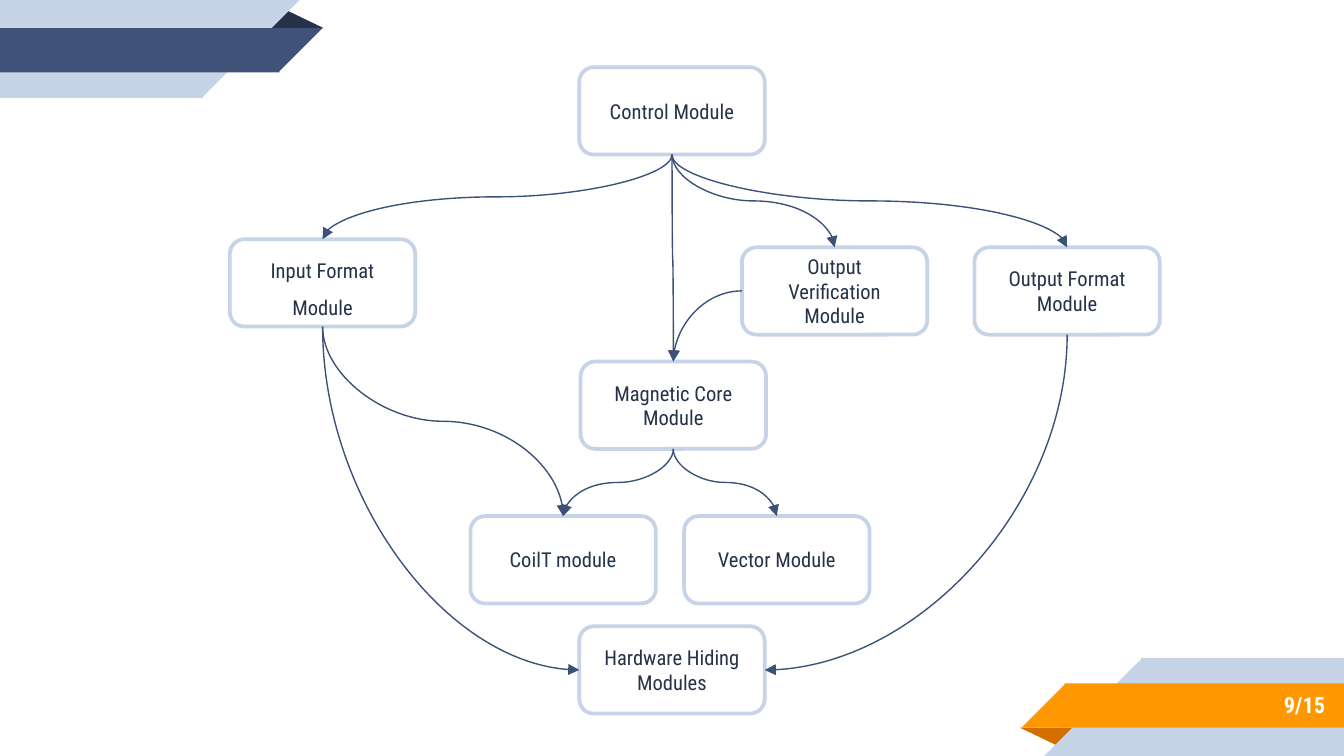
from lxml.etree import SubElement
from pptx import Presentation
from pptx.dml.color import RGBColor
from pptx.enum.shapes import MSO_CONNECTOR, MSO_SHAPE as Preset
from pptx.enum.text import MSO_ANCHOR as Anchor, PP_ALIGN as Align
from pptx.oxml.ns import qn
from pptx.util import Inches, Pt

WHITE = RGBColor(0xFF, 0xFF, 0xFF)
NAVY = RGBColor(0x26, 0x32, 0x48)
BLUE = RGBColor(0x3F, 0x53, 0x78)
ARROW_BLUE = RGBColor(0x3C, 0x51, 0x77)
PALE_BLUE = RGBColor(0xC7, 0xD3, 0xE6)
ORANGE = RGBColor(0xFF, 0x98, 0x00)
DARK_ORANGE = RGBColor(0xD2, 0x6F, 0x00)

FONT = "Roboto Condensed"
SLIDE_WIDTH = 10
SLIDE_HEIGHT = SLIDE_WIDTH * 9 / 16
BOX_WIDTH, BOX_HEIGHT = 1.38, 0.65
TOP, LEFT, BOTTOM, RIGHT = range(4)  # connection sites of a box

MODULES = {  # name: (left, top, line spacing)
    "Vector Module": (5.09, 3.84, 1),
    "Magnetic Core Module": (4.32, 2.69, 1),
    "Output Verification Module": (5.52, 1.84, 1),
    "Output Format Module": (7.25, 1.84, 1),
    "Input Format Module": (1.71, 1.78, 1.5),
    "Hardware Hiding Modules": (4.31, 4.66, 1),
    "Control Module": (4.31, 0.5, 1),
    "CoilT module": (3.5, 3.84, 1),
}

ARROWS = [
    ("Control Module", BOTTOM, "Magnetic Core Module", TOP),
    ("Control Module", BOTTOM, "Output Format Module", TOP),
    ("Output Format Module", BOTTOM, "Hardware Hiding Modules", RIGHT),
    ("Control Module", BOTTOM, "Output Verification Module", TOP),
    ("Input Format Module", BOTTOM, "Hardware Hiding Modules", LEFT),
    ("Control Module", BOTTOM, "Input Format Module", TOP),
    ("Output Verification Module", LEFT, "Magnetic Core Module", TOP),
    ("Magnetic Core Module", BOTTOM, "CoilT module", TOP),
    ("Input Format Module", BOTTOM, "CoilT module", TOP),
    ("Magnetic Core Module", BOTTOM, "Vector Module", TOP),
]


def add_filled_shape(slide, preset, left, top, width, height, color):
    shape = slide.shapes.add_shape(
        preset, Inches(left), Inches(top), Inches(width), Inches(height))
    shape.shadow.inherit = False
    shape.fill.solid()
    shape.fill.fore_color.rgb = color
    shape.line.fill.background()
    return shape


def add_ribbon(slide, fold_color, band_color, turned=False):
    """Draw the top-left corner ribbon, or turn it half round to bottom right."""
    parts = [
        (Preset.ISOSCELES_TRIANGLE, 1.98, 0.07, 0.43, 0.14, 0, fold_color),
        (Preset.RECTANGLE, 0, 0, 1.51, 0.73, 0, PALE_BLUE),
        (Preset.RIGHT_TRIANGLE, 1.5, 0, 0.73, 0.73, 90, PALE_BLUE),
        (Preset.RECTANGLE, 0, 0.21, 2.08, 0.33, 0, band_color),
        (Preset.RIGHT_TRIANGLE, 2.07, 0.21, 0.33, 0.33, 90, band_color),
    ]
    for preset, left, top, width, height, rotation, color in parts:
        if turned:
            left = SLIDE_WIDTH - left - width
            top = SLIDE_HEIGHT - top - height
            rotation += 180
        shape = add_filled_shape(slide, preset, left, top, width, height, color)
        shape.rotation = rotation
        if preset == Preset.ISOSCELES_TRIANGLE:
            shape.adjustments[0] = 0.324


def write_text(shape, text, size, color, alignment, bold=False, spacing=1):
    frame = shape.text_frame
    frame.word_wrap = True
    frame.vertical_anchor = Anchor.MIDDLE
    paragraph = frame.paragraphs[0]
    paragraph.alignment = alignment
    paragraph.line_spacing = float(spacing)
    run = paragraph.add_run()
    run.text = text
    run.font.name = FONT
    run.font.size = Pt(size)
    run.font.bold = bold
    run.font.color.rgb = color


def add_module(slide, name, left, top, spacing):
    box = add_filled_shape(slide, Preset.ROUNDED_RECTANGLE, left, top,
                           BOX_WIDTH, BOX_HEIGHT, WHITE)
    box.line.color.rgb = PALE_BLUE
    box.line.width = Pt(2)
    write_text(box, name, 11, NAVY, Align.CENTER, spacing=spacing)
    return box


def site_point(box, site):
    middle_x, middle_y = box.left + box.width // 2, box.top + box.height // 2
    return {
        TOP: (middle_x, box.top),
        LEFT: (box.left, middle_y),
        BOTTOM: (middle_x, box.top + box.height),
        RIGHT: (box.left + box.width, middle_y),
    }[site]


def start_downwards(connector, start, end):
    """Rotate a connector, which by default leaves sideways, to leave downwards."""
    (start_x, start_y), (end_x, end_y) = start, end
    width, height = abs(end_y - start_y), abs(end_x - start_x)
    connector.left = (start_x + end_x - width) // 2
    connector.top = (start_y + end_y - height) // 2
    connector.width, connector.height = width, height
    transform = connector._element.spPr.find(qn("a:xfrm"))
    for flip in ("flipH", "flipV"):
        transform.attrib.pop(flip, None)
    if end_x > start_x:
        transform.set("rot", "16200000")
        transform.set("flipH", "1")
    else:
        transform.set("rot", "5400000")


def add_arrow(slide, source, source_site, target, target_site):
    start, end = site_point(source, source_site), site_point(target, target_site)
    connector = slide.shapes.add_connector(MSO_CONNECTOR.CURVE, *start, *end)
    connector.begin_connect(source, source_site)
    connector.end_connect(target, target_site)
    properties = connector._element.spPr
    if source_site == BOTTOM:
        start_downwards(connector, start, end)
    if (source_site, target_site) != (BOTTOM, TOP):
        properties.find(qn("a:prstGeom")).set("prst", "curvedConnector2")
    connector.line.color.rgb = ARROW_BLUE
    connector.line.width = Pt(0.75)
    SubElement(properties.find(qn("a:ln")), qn("a:tailEnd"), type="triangle")
    SubElement(properties, qn("a:effectLst"))


def add_page_number(slide, text):
    box = slide.shapes.add_textbox(
        Inches(8.33), Inches(5.07), Inches(1.63), Inches(0.35))
    frame = box.text_frame
    frame.margin_top = frame.margin_bottom = Inches(0.1)
    write_text(box, text, 12, WHITE, Align.RIGHT, bold=True)


def main():
    presentation = Presentation()
    presentation.slide_width = Inches(SLIDE_WIDTH)
    presentation.slide_height = Inches(SLIDE_HEIGHT)
    slide = presentation.slides.add_slide(presentation.slide_layouts[6])

    add_ribbon(slide, NAVY, BLUE)
    add_ribbon(slide, DARK_ORANGE, ORANGE, turned=True)
    boxes = {name: add_module(slide, name, *place)
             for name, place in MODULES.items()}
    for source, source_site, target, target_site in ARROWS:
        add_arrow(slide, boxes[source], source_site, boxes[target], target_site)
    add_page_number(slide, "9/15")

    presentation.save("out.pptx")


if __name__ == "__main__":
    main()
